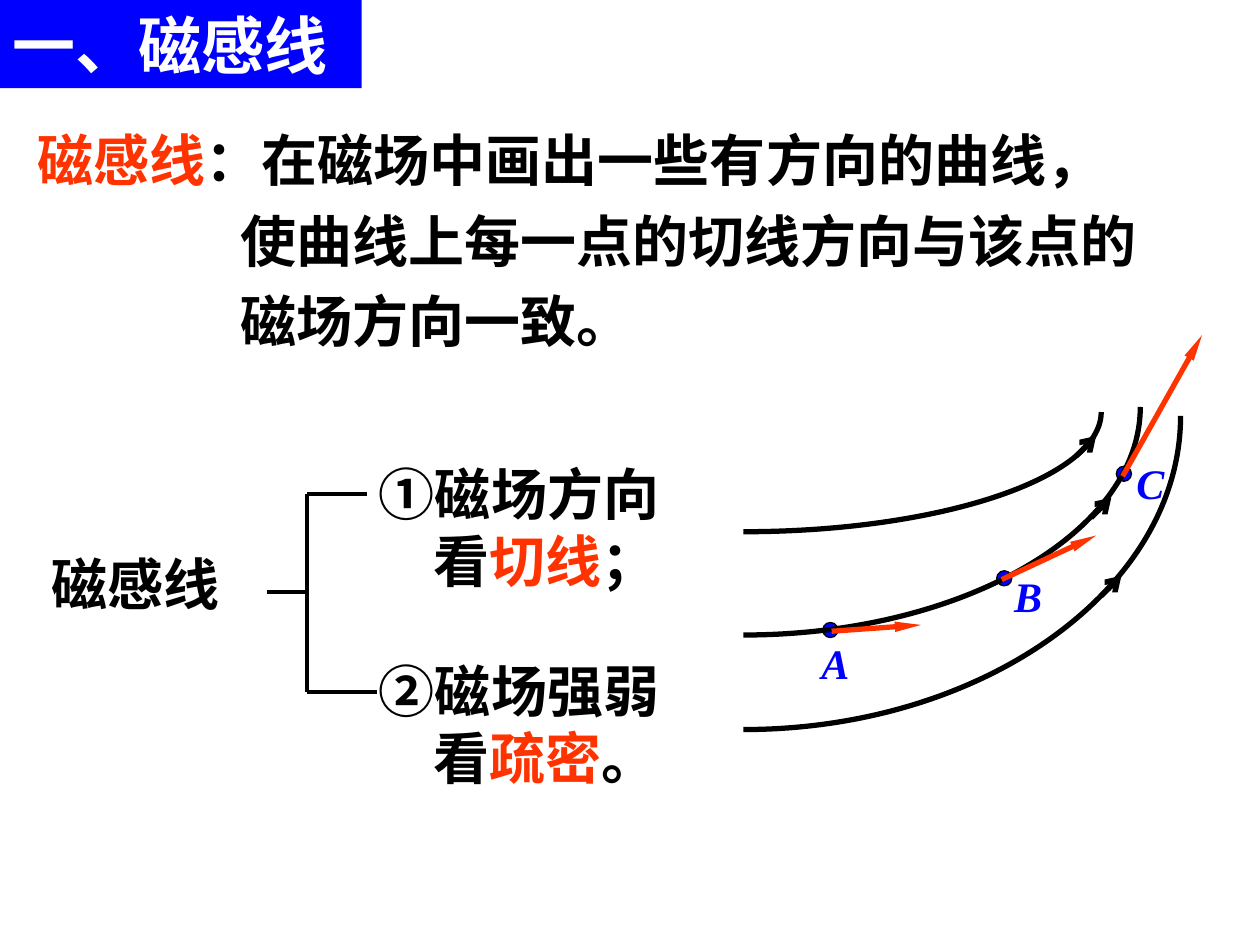
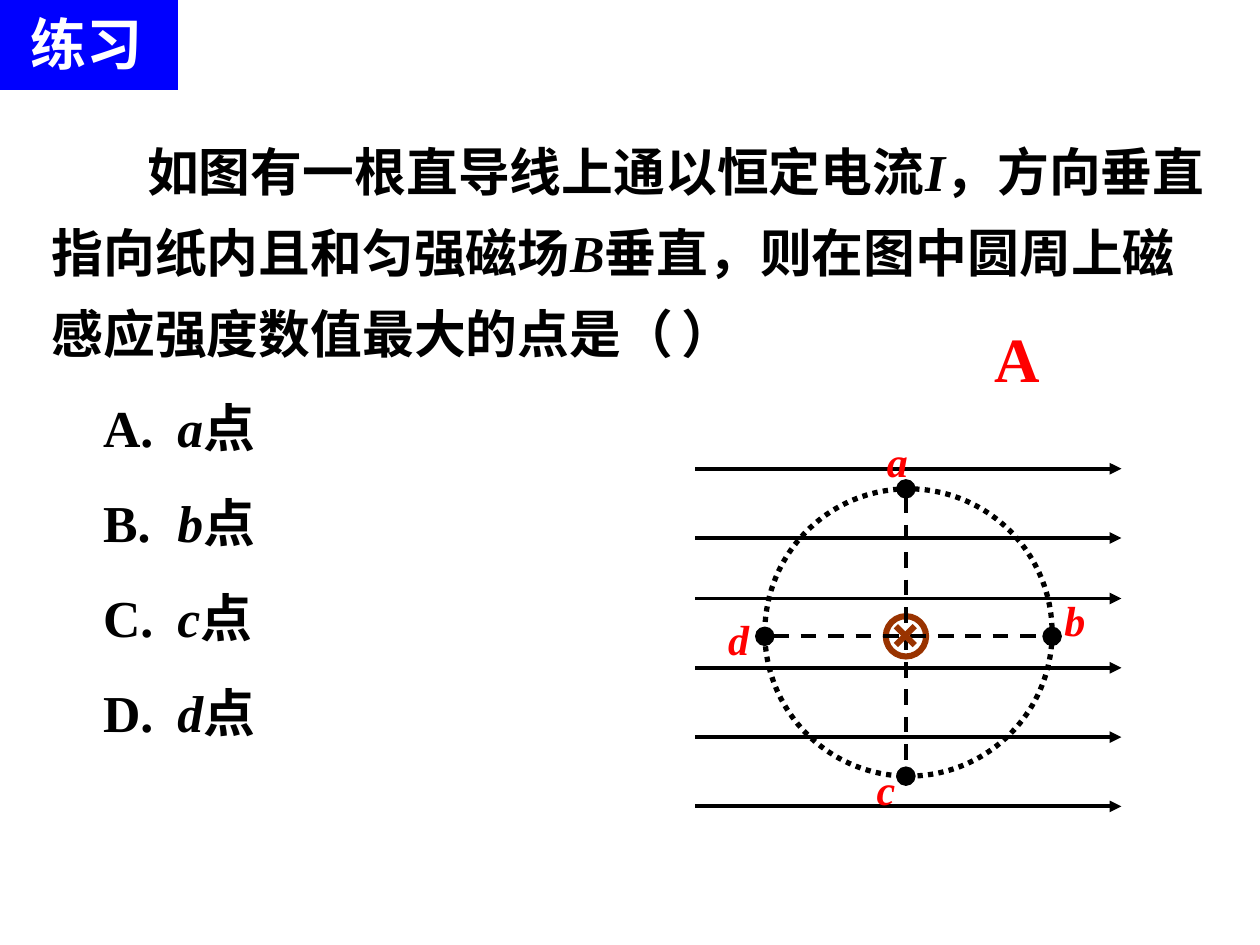
"""Two physics slides: magnetic field lines, and an exercise on superposed fields."""
from lxml import etree
from pptx import Presentation
from pptx import util as u
from pptx.dml.color import RGBColor
from pptx.enum import dml, shapes, text
from pptx.oxml import ns

BLACK = RGBColor(0x00, 0x00, 0x00)
WHITE = RGBColor(0xFF, 0xFF, 0xFF)
BLUE = RGBColor(0x00, 0x00, 0xFF)
RED = RGBColor(0xFF, 0x00, 0x00)
ORANGE = RGBColor(0xFF, 0x33, 0x00)
BROWN = RGBColor(0x99, 0x33, 0x00)
SANS, SERIF = "Noto Sans CJK SC", "Times New Roman"
OVAL = shapes.MSO_SHAPE.OVAL
LEFT, CENTER = text.PP_ALIGN.LEFT, text.PP_ALIGN.CENTER


def write(sp, words, size=32, font=SANS, color=BLACK, accent=None, italic=False,
          accent_italic=False, align=LEFT, leading=1.0, before=0, margin=0, indent=0, tab=None):
    """Add one bold paragraph; parts between bars take the accent format."""
    tf = sp.text_frame
    tf.word_wrap = True
    p = tf.add_paragraph() if tf.text else tf.paragraphs[0]
    p.alignment = align
    p.line_spacing = u.Pt(round(size * 1.2 * leading, 1))
    p.space_before = u.Pt(before)
    pPr = p._p.get_or_add_pPr()
    pPr.set("marL", str(u.Inches(margin)))
    pPr.set("indent", str(u.Inches(indent)))
    if tab:
        tabs = etree.SubElement(pPr, ns.qn("a:tabLst"))
        etree.SubElement(tabs, ns.qn("a:tab"), pos=str(u.Inches(tab)), algn="l")
    for i, part in enumerate(words.split("|")):
        if not part:
            continue
        marked = i % 2 == 1
        r = p.add_run()
        r.text = part
        r.font.size, r.font.name, r.font.bold = u.Pt(size), font, True
        r.font.italic = italic or (marked and accent_italic)
        r.font.color.rgb = accent if marked and accent else color
        etree.SubElement(r._r.get_or_add_rPr(), ns.qn("a:ea"), typeface=SANS)


def line(slide, x1, y1, x2, y2, color=BLACK, width=2.25, dash=None, head=None, tail=None,
         w="med", length="med"):
    """Draw a straight line with optional dash and line ends."""
    c = slide.shapes.add_connector(shapes.MSO_CONNECTOR.STRAIGHT,
                                   *[u.Inches(v) for v in (x1, y1, x2, y2)])
    c.line.color.rgb, c.line.width = color, u.Pt(width)
    if dash:
        c.line.dash_style = dash
    ln = c.line._get_or_add_ln()
    for tag, end in (("a:headEnd", head), ("a:tailEnd", tail)):
        if end:
            etree.SubElement(ln, ns.qn(tag), type=end, w=w, len=length)
    etree.SubElement(c._element.spPr, ns.qn("a:effectLst"))


prs = Presentation()
prs.slide_width, prs.slide_height = u.Inches(10), u.Inches(7.5)

slides = []
for words, width, height, size, align, anchor, border in (
        ("一、磁感线", 2.87, 0.7, 36, LEFT, text.MSO_ANCHOR.TOP, 0),
        ("练习", 1.38, 0.68, 32, CENTER, text.MSO_ANCHOR.MIDDLE, 4.5)):
    slide = prs.slides.add_slide(prs.slide_layouts[5])
    title = slide.shapes.title
    title.left, title.top = u.Inches(0), u.Inches(0)
    title.width, title.height = u.Inches(width), u.Inches(height)
    title.fill.solid()
    title.fill.fore_color.rgb = BLUE
    if border:
        title.line.color.rgb, title.line.width = BLUE, u.Pt(border)
        etree.SubElement(title.line._get_or_add_ln(), ns.qn("a:miter"), lim="800000")
    title.text_frame.auto_size = text.MSO_AUTO_SIZE.NONE
    title.text_frame.vertical_anchor = anchor
    write(title, words, size=size, color=WHITE, align=align)
    slides.append(slide)
lines_slide, exercise = slides

definition = lines_slide.shapes.add_textbox(
    u.Inches(0.2), u.Inches(0.84), u.Inches(9.45), u.Inches(2.02))
for words, margin in (("|磁感线|：在磁场中画出一些有方向的曲线，", 0),
                      ("使曲线上每一点的切线方向与该点的", 1.61),
                      ("磁场方向一致。", 1.61)):
    write(definition, words, accent=ORANGE, leading=1.2, margin=margin)

for words, x, y, width, height, hang in (
        ("磁感线", 0.31, 4.31, 1.89, 0.64, 0),
        ("①磁场方向看|切线|；", 2.91, 3.6, 2.64, 1.17, 0.43),
        ("②磁场强弱看|疏密|。", 2.91, 5.16, 2.66, 1.17, 0.43)):
    sp = lines_slide.shapes.add_textbox(u.Inches(x), u.Inches(y), u.Inches(width), u.Inches(height))
    write(sp, words, accent=ORANGE, margin=hang, indent=-hang)

for ends in ((2.12, 4.7, 2.44, 4.7), (2.44, 3.92, 2.44, 5.49),
             (2.44, 3.92, 2.91, 3.92), (2.44, 5.49, 2.99, 5.49)):
    line(lines_slide, *ends)

for name, x, y, width, dot_x, dot_y in (("A", 6.42, 5.01, 0.59, 6.53, 4.94),
                                        ("B", 7.95, 4.48, 0.55, 7.91, 4.53),
                                        ("C", 8.92, 3.58, 0.63, 8.86, 3.7)):
    sp = lines_slide.shapes.add_textbox(u.Inches(x), u.Inches(y), u.Inches(width), u.Inches(0.5))
    write(sp, name, size=24, font=SERIF, color=BLUE, italic=True)
    dot = lines_slide.shapes.add_shape(
        OVAL, u.Inches(dot_x), u.Inches(dot_y), u.Inches(0.12), u.Inches(0.12))
    dot.shadow.inherit = False
    dot.fill.solid()
    dot.fill.fore_color.rgb = BLUE
    dot.line.color.rgb, dot.line.width = BLACK, u.Pt(0.75)

for start_y, end_x, end_y, arrow_x, arrow_y in ((5.04, 9.05, 3.23, 8.66, 4.11),
                                                (5.79, 9.37, 3.3, 8.74, 4.73),
                                                (4.22, 8.74, 3.27, 8.54, 3.62)):
    builder = lines_slide.shapes.build_freeform(u.Inches(5.9), u.Inches(start_y))
    builder.add_line_segments([(u.Inches(end_x), u.Inches(end_y))], close=False)
    curve = builder.convert_to_shape()
    segment = curve._element.find(".//" + ns.qn("a:lnTo"))
    bend = etree.Element(ns.qn("a:cubicBezTo"))
    w, h = curve.width, curve.height
    for x, y in ((0.55 * w, h), (w, 0.55 * h), (w, 0)):
        etree.SubElement(bend, ns.qn("a:pt"), x=str(int(x)), y=str(int(y)))
    segment.getparent().replace(segment, bend)
    curve.shadow.inherit = False
    curve.fill.background()
    curve.line.color.rgb, curve.line.width = BLACK, u.Pt(3)
    line(lines_slide, arrow_x, arrow_y, arrow_x + 0.16, arrow_y - 0.16, width=3, tail="arrow")

for tangent in ((7.95, 4.6, 8.7, 4.25), (8.91, 3.78, 9.54, 2.66), (6.6, 5.01, 7.31, 4.96)):
    line(lines_slide, *tangent, color=ORANGE, width=3, tail="triangle", w="sm", length="lg")

question = exercise.shapes.add_textbox(
    u.Inches(0.31), u.Inches(0.91), u.Inches(9.37), u.Inches(4.95))
body = dict(size=29.6, font=SERIF, accent_italic=True, leading=1.3)
write(question, "如图有一根直导线上通以恒定电流|I|，方向垂直指向纸内且和匀强磁场|B|垂直，"
                "则在图中圆周上磁感应强度数值最大的点是（\t）", indent=0.76, tab=7.1, **body)
for letter in "ABCD":
    write(question, f"{letter}.\t|{letter.lower()}|点", before=8, margin=1, indent=-0.59, **body)

answer = exercise.shapes.add_textbox(u.Inches(7.6), u.Inches(2.49), u.Inches(0.94), u.Inches(0.7))
write(answer, "A", size=36, font=SERIF, color=RED, align=CENTER)

for x, y, size, color, width, dash in (
        (6.07, 3.88, 2.28, BLACK, 3, dml.MSO_LINE.ROUND_DOT),
        (7.03, 4.89, 0.32, BROWN, 3.5, None)):
    ring = exercise.shapes.add_shape(OVAL, u.Inches(x), u.Inches(y), u.Inches(size), u.Inches(size))
    ring.shadow.inherit = False
    ring.fill.background()
    ring.line.color.rgb, ring.line.width = color, u.Pt(width)
    if dash:
        ring.line.dash_style = dash

for y in (3.72, 4.27, 4.75, 5.3, 5.85, 6.4):
    line(exercise, 5.52, y, 8.9, y, tail="triangle")

for name, x, y in (("a", 6.94, 3.41), ("b", 8.35, 4.67), ("c", 6.86, 6.01), ("d", 5.68, 4.82)):
    sp = exercise.shapes.add_textbox(u.Inches(x), u.Inches(y), u.Inches(0.63), u.Inches(0.5))
    write(sp, name, size=24, font=SERIF, color=RED, italic=True)

for diameter in ((7.19, 3.88, 7.19, 6.16), (6.07, 5.05, 8.35, 5.05)):
    line(exercise, *diameter, dash=dml.MSO_LINE.DASH, head="oval", tail="oval",
         w="lg", length="lg")
for cross in ((7.26, 4.97, 7.11, 5.12), (7.11, 4.97, 7.26, 5.12)):
    line(exercise, *cross, color=BROWN, width=3.5)

prs.save("out.pptx")
